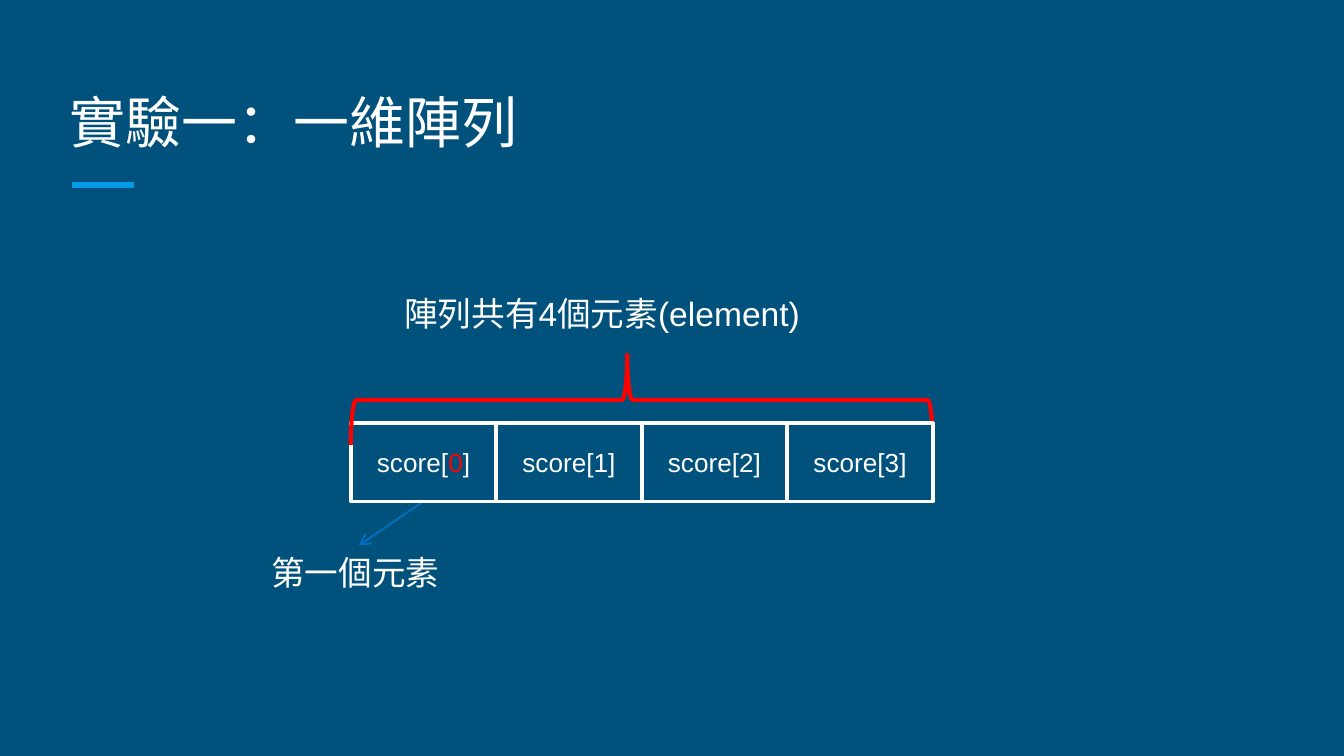
"""Build a slide that explains the elements of a one-dimensional array."""
from lxml.etree import SubElement
from pptx import Presentation
from pptx.dml.color import RGBColor
from pptx.enum.shapes import MSO_CONNECTOR, MSO_SHAPE
from pptx.enum.text import MSO_ANCHOR, PP_ALIGN
from pptx.oxml.ns import qn
from pptx.util import Cm, Pt


def color(value):
    return RGBColor.from_string(value)


def write(box, pieces, frame_format, font_format, align=PP_ALIGN.LEFT):
    for name, value in frame_format.items():
        setattr(box.text_frame, name, value)
    para = box.text_frame.paragraphs[0]
    para.alignment = align
    for text, shade in pieces:
        span = para.add_run()
        span.text = text
        span.font.color.rgb = color(shade)
        for name, value in font_format.items():
            setattr(span.font, name, value)


BLUE, WHITE, RED = "00517C", "FFFFFF", "FF0000"
TITLE_FONT = {"name": "Roboto Slab", "size": Pt(30)}
LABEL_FONT = {"name": "Arial", "size": Pt(18)}
CELL_FONT = {"name": "Arial", "size": Pt(14)}
TITLE_FRAME = {"word_wrap": True, "vertical_anchor": MSO_ANCHOR.BOTTOM,
               "margin_top": Cm(0.25), "margin_bottom": Cm(0.25)}
LABEL_FRAME = {"word_wrap": True, "vertical_anchor": MSO_ANCHOR.TOP}
CELL_FRAME = {"word_wrap": True, "vertical_anchor": MSO_ANCHOR.MIDDLE}

deck = Presentation()
deck.slide_width, deck.slide_height = Cm(25.4), Cm(14.29)
page = deck.slides.add_slide(deck.slide_layouts[6])
page.background.fill.solid()
page.background.fill.fore_color.rgb = color(BLUE)

lines = []
for start_x, start_y, end_x, end_y, shade, weight in [
    (1.37, 3.5, 2.54, 3.5, "039BE5", 3),
    (8, 9.48, 6.78, 10.31, "0070C0", 1),
]:
    line = page.shapes.add_connector(
        MSO_CONNECTOR.STRAIGHT, Cm(start_x), Cm(start_y), Cm(end_x), Cm(end_y))
    line.line.color.rgb = color(shade)
    line.line.width = Pt(weight)
    SubElement(line._element.spPr, qn("a:effectLst"))
    lines.append(line)
accent, arrow = lines
SubElement(arrow.line._get_or_add_ln(), qn("a:tailEnd"), type="arrow")

cell_left, cell_top, cell_width, cell_height = 6.63, 8, 2.75, 1.48
for index in range(4):
    cell = page.shapes.add_shape(
        MSO_SHAPE.RECTANGLE, Cm(cell_left + index * cell_width), Cm(cell_top),
        Cm(cell_width), Cm(cell_height))
    cell.shadow.inherit = False
    cell.fill.solid()
    cell.fill.fore_color.rgb = color(BLUE)
    cell.line.color.rgb = color(WHITE)
    cell.line.width = Pt(2)
    pieces = [(f"score[{index}]", WHITE)]
    if index == 0:
        pieces = [("score[", WHITE), ("0", RED), ("]", WHITE)]
    write(cell, pieces, CELL_FRAME, CELL_FONT, PP_ALIGN.CENTER)
    if index == 0:
        brace = page.shapes.add_shape(
            MSO_SHAPE.RIGHT_BRACE, Cm(11.28), Cm(2.06), Cm(1.7), Cm(11))
        brace.rotation = 270
        brace.adjustments[0], brace.adjustments[1] = 0.06, 0.475
        brace.shadow.inherit = False
        brace.fill.background()
        brace.line.color.rgb = color(RED)
        brace.line.width = Pt(2.25)

for text, left, top, width, height, frame_format, font_format in [
    ("實驗一：一維陣列", 1.07, 1.27, 23.24, 1.9, TITLE_FRAME, TITLE_FONT),
    ("陣列共有4個元素(element)", 7.39, 5.41, 8.2, 1.07, LABEL_FRAME, LABEL_FONT),
    ("第一個元素", 4.88, 10.31, 3.81, 1.02, LABEL_FRAME, LABEL_FONT),
]:
    box = page.shapes.add_textbox(Cm(left), Cm(top), Cm(width), Cm(height))
    write(box, [(text, WHITE)], frame_format, font_format)

deck.save("out.pptx")
